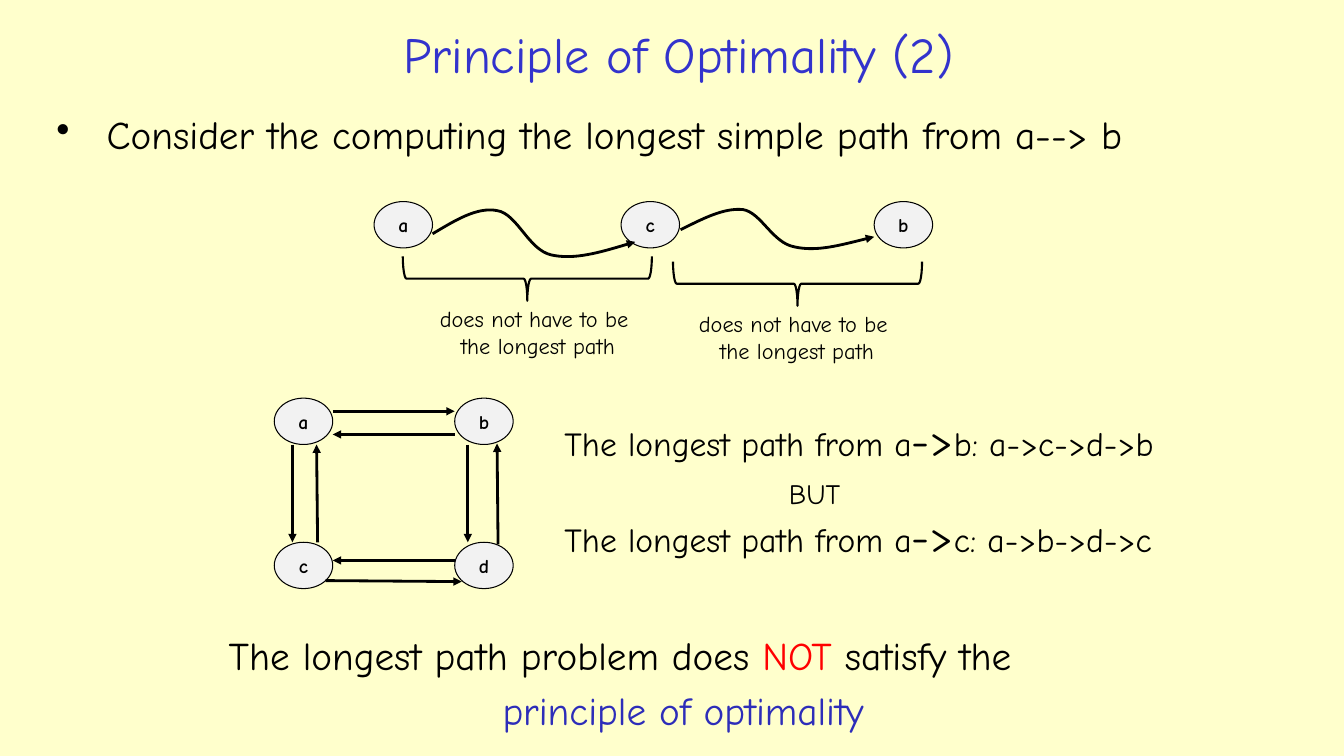
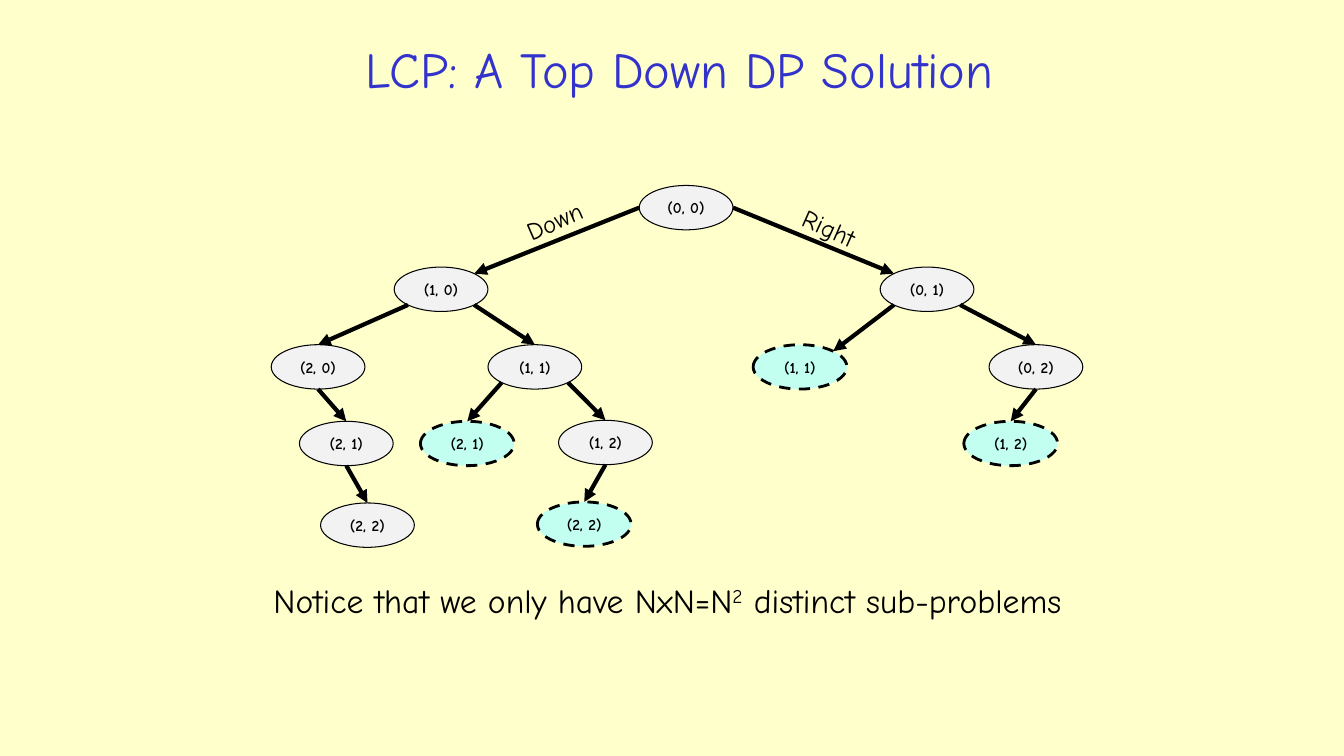
import math
from typing import NamedTuple

import lxml.etree
import pptx
import pptx.dml.color
import pptx.enum.dml
import pptx.enum.shapes
import pptx.enum.text
import pptx.oxml.ns
import pptx.shapes.base
import pptx.slide
import pptx.util

Inches = pptx.util.Inches
Pt = pptx.util.Pt
qn = pptx.oxml.ns.qn
Slide = pptx.slide.Slide
Shape = pptx.shapes.base.BaseShape
Kind = pptx.enum.shapes.MSO_SHAPE
Align = pptx.enum.text.PP_ALIGN
Anchor = pptx.enum.text.MSO_ANCHOR

# Shared look
FONT = "Comic Neue"
PAPER, INK, TITLE = "FFFFCC", "000000", "3333CC"
GREY, MINT, RED, BLUE = "F2F2F2", "C2FFF0", "FF0000", "2D2DB9"


class Run(NamedTuple):
    words: str
    hue: str | None = None
    size: float | None = None
    rise: bool = False


class Box(NamedTuple):
    x: float
    y: float
    w: float
    h: float

    def emu(self) -> list[int]:
        return [Inches(v) for v in self]


class Point(NamedTuple):
    x: float
    y: float


class Node(NamedTuple):
    key: str
    x: float
    y: float
    seen: bool = False


class Edge(NamedTuple):
    start: str
    side: str
    end: str
    port: str


def color(code: str) -> pptx.dml.color.RGBColor:
    return pptx.dml.color.RGBColor.from_string(code)


# Text
def write(shape: Shape, *lines: str | list[Run], size: float = 24, hue: str = INK,
          bold: bool = False, aligns: tuple = (Align.LEFT,), wrap: bool = True,
          anchor: Anchor = Anchor.TOP, gap: float = 0, bullet: bool = False,
          inset: bool = True) -> None:
    """Fill a shape; the last alignment serves all remaining lines."""
    frame = shape.text_frame
    frame.word_wrap = wrap
    frame.vertical_anchor = anchor
    if not inset:
        frame.margin_left = frame.margin_right = 0
        frame.margin_top = frame.margin_bottom = 0
    for i, line in enumerate(lines):
        para = frame.paragraphs[0] if i == 0 else frame.add_paragraph()
        para.alignment = aligns[min(i, len(aligns) - 1)]
        if i:
            para.space_before = Pt(gap)
        if bullet:
            props = para._p.get_or_add_pPr()
            props.set("marL", str(Inches(0.56)))
            props.set("indent", str(Inches(-0.5)))
            lxml.etree.SubElement(props, qn("a:buChar"), char="•")
        for part in [Run(line)] if isinstance(line, str) else line:
            run = para.add_run()
            run.text = part.words
            run.font.name = FONT
            run.font.size = Pt(part.size or size)
            run.font.bold = bold
            run.font.color.rgb = color(part.hue or hue)
            if part.rise:
                run._r.get_or_add_rPr().set("baseline", "30000")


def label(slide: Slide, box: Box, *lines: str | list[Run], turn: float = 0, **form) -> None:
    shape = slide.shapes.add_textbox(*box.emu())
    shape.rotation = turn
    write(shape, *lines, **form)


def start(deck: pptx.presentation.Presentation, title: str, box: Box) -> Slide:
    slide = deck.slides.add_slide(deck.slide_layouts[6])
    label(slide, box, title, size=36, hue=TITLE, aligns=(Align.CENTER,),
          anchor=Anchor.MIDDLE)
    return slide


# Shapes and lines
def stroke(shape: Shape, width: float, head: bool = False) -> None:
    shape.line.color.rgb = color(INK)
    shape.line.width = Pt(width)
    if head:
        lxml.etree.SubElement(shape.line._get_or_add_ln(), qn("a:tailEnd"), type="triangle")


def oval(slide: Slide, box: Box, name: str, size: float, seen: bool = False) -> Shape:
    shape = slide.shapes.add_shape(Kind.OVAL, *box.emu())
    shape.shadow.inherit = False
    shape.fill.solid()
    shape.fill.fore_color.rgb = color(MINT if seen else GREY)
    stroke(shape, 2 if seen else 0.75)
    if seen:
        shape.line.dash_style = pptx.enum.dml.MSO_LINE.DASH
    write(shape, name, size=size, bold=True, aligns=(Align.CENTER,),
          anchor=Anchor.MIDDLE, inset=False)
    return shape


def arrow(slide: Slide, tail: Point, tip: Point, width: float):
    line = slide.shapes.add_connector(
        pptx.enum.shapes.MSO_CONNECTOR.STRAIGHT, *[Inches(v) for v in (*tail, *tip)])
    stroke(line, width, head=True)
    lxml.etree.SubElement(line._element.spPr, qn("a:effectLst"))
    return line


def curve(slide: Slide, first: Point, *rest: Point) -> None:
    """Draw cubic arcs; each three points of the rest make one arc."""
    pen = slide.shapes.build_freeform(Inches(first.x), Inches(first.y))
    pen.add_line_segments([(Inches(p.x), Inches(p.y)) for p in rest], close=False)
    shape = pen.convert_to_shape()
    steps = list(shape._element.iter(qn("a:lnTo")))
    for i in range(0, len(steps), 3):
        arc = lxml.etree.Element(qn("a:cubicBezTo"))
        steps[i].addprevious(arc)
        for step in steps[i:i + 3]:
            arc.append(step[0])
            step.getparent().remove(step)
    shape.shadow.inherit = False
    shape.fill.background()
    stroke(shape, 2, head=True)


def brace(slide: Slide, box: Box) -> None:
    shape = slide.shapes.add_shape(Kind.RIGHT_BRACE, *box.emu())
    shape.rotation = 90
    shape.adjustments[0] = 0.083
    shape.shadow.inherit = False
    shape.fill.background()
    stroke(shape, 1.5)


# Slide 1: longest path
def longest(deck: pptx.presentation.Presentation) -> None:
    slide = start(deck, "Principle of Optimality (2)", Box(1.67, 0.15, 10.12, 0.76))
    label(slide, Box(0.4, 1.05, 12.62, 0.7),
          "Consider the computing the longest simple path from a--> b",
          size=28, bullet=True)

    # Path row above, square graph below
    left, right, top, low = 2.72, 4.51, 3.95, 5.38
    wide, high = 0.58, 0.46
    spots = [("a", 3.71, 2), ("c", 6.16, 2), ("b", 8.67, 2),
             ("a", left, top), ("b", right, top), ("d", right, low), ("c", left, low)]
    for name, x, y in spots:
        oval(slide, Box(x, y, wide, high), name, 14)

    curve(slide, Point(4.29, 2.32),
          Point(4.51, 2.19), Point(4.73, 2.05), Point(4.93, 2.09),
          Point(5.13, 2.12), Point(5.24, 2.48), Point(5.47, 2.53),
          Point(5.7, 2.58), Point(6, 2.49), Point(6.3, 2.4))
    curve(slide, Point(6.75, 2.28),
          Point(6.97, 2.17), Point(7.18, 2.06), Point(7.37, 2.08),
          Point(7.55, 2.11), Point(7.66, 2.41), Point(7.88, 2.45),
          Point(8.1, 2.5), Point(8.38, 2.42), Point(8.67, 2.35))

    for hook, note, y in ((5.01, 4.18, 1.53), (7.69, 6.75, 1.58)):
        brace(slide, Box(hook, y, 0.44, 2.47))
        label(slide, Box(note, y + 1.45, 2.31, 0.64), "does not have to be ",
              "the longest path", size=16, aligns=(Align.CENTER,), wrap=False)

    # Two-way arrows between the corners
    near, under = left + wide, top + high
    for tail, tip in (
        (Point(near, 4.08), Point(right, 4.08)),
        (Point(right, 4.31), Point(near, 4.31)),
        (Point(right, 5.56), Point(near, 5.56)),
        (Point(3.23, 5.76), Point(4.58, 5.77)),
        (Point(2.9, under), Point(2.9, low)),
        (Point(3.15, low), Point(3.14, under)),
        (Point(4.64, under), Point(4.64, low)),
        (Point(4.94, 5.4), Point(4.93, 4.4)),
    ):
        arrow(slide, tail, tip, 2)

    # Findings
    for y, ends in ((4.04, "b: a->c->d->b"), (4.99, "c: a->b->d->c")):
        label(slide, Box(5.5, y, 6.75, 0.64),
              [Run("The longest path from a"), Run("->", size=32), Run(ends)])
    label(slide, Box(7.69, 4.68, 0.78, 0.44), "BUT", size=20,
          aligns=(Align.CENTER,), wrap=False)
    label(slide, Box(2.17, 6.21, 9.21, 0.49),
          [Run("The longest path problem does "), Run("NOT", RED), Run(" satisfy the")],
          [Run("principle of optimality", BLUE)],
          size=28, aligns=(Align.LEFT, Align.CENTER), gap=6)


# Slide 2: call tree
WIDE, HIGH = 0.93, 0.44
ANGLES = {"E": 0, "SE": 45, "S": 90, "SW": 135, "W": 180, "NW": 225, "N": 270, "NE": 315}
# A key is the cell; a trailing * marks a repeated call
NODES = [
    Node("(0, 0)", 6.34, 1.84),
    Node("(1, 0)", 3.91, 2.65), Node("(0, 1)", 8.73, 2.65),
    Node("(2, 0)", 2.69, 3.42), Node("(1, 1)", 4.84, 3.42),
    Node("(1, 1)*", 7.47, 3.42, True), Node("(0, 2)", 9.81, 3.42),
    Node("(2, 1)", 2.97, 4.18), Node("(2, 1)*", 4.17, 4.18, True),
    Node("(1, 2)", 5.54, 4.17), Node("(1, 2)*", 9.56, 4.18, True),
    Node("(2, 2)", 3.18, 4.99), Node("(2, 2)*", 5.33, 4.98, True),
]
EDGES = [
    Edge("(0, 0)", "W", "(1, 0)", "NE"), Edge("(0, 0)", "E", "(0, 1)", "NW"),
    Edge("(1, 0)", "SW", "(2, 0)", "N"), Edge("(1, 0)", "SE", "(1, 1)", "N"),
    Edge("(0, 1)", "SW", "(1, 1)*", "NE"), Edge("(0, 1)", "SE", "(0, 2)", "N"),
    Edge("(1, 1)", "SW", "(2, 1)*", "N"), Edge("(1, 1)", "SE", "(1, 2)", "N"),
    Edge("(2, 0)", "S", "(2, 1)", "N"), Edge("(2, 1)", "S", "(2, 2)", "N"),
    Edge("(1, 2)", "S", "(2, 2)*", "N"), Edge("(0, 2)", "S", "(1, 2)*", "N"),
]


def rim(node: Node, side: str) -> Point:
    turn = math.radians(ANGLES[side])
    return Point(node.x + WIDE / 2 * (1 + math.cos(turn)),
                 node.y + HIGH / 2 * (1 + math.sin(turn)))


def tree(deck: pptx.presentation.Presentation) -> None:
    slide = start(deck, "LCP: A Top Down DP Solution", Box(1.97, 0.15, 9.54, 1.06))
    nodes = {node.key: node for node in NODES}
    ovals = {node.key: oval(slide, Box(node.x, node.y, WIDE, HIGH),
                            node.key.rstrip("*"), 11, node.seen) for node in NODES}
    for edge in EDGES:
        line = arrow(slide, rim(nodes[edge.start], edge.side),
                     rim(nodes[edge.end], edge.port), 3)
        if edge.port == "N":
            line.end_connect(ovals[edge.end], 0)

    label(slide, Box(5.11, 1.98, 0.82, 0.4), "Down", size=18, turn=336.5, wrap=False)
    label(slide, Box(7.85, 2.08, 0.83, 0.4), "Right", size=18, turn=24, wrap=False)
    label(slide, Box(2.06, 5.7, 9.23, 0.51),
          [Run("Notice that we only have NxN=N"), Run("2", rise=True),
           Run(" distinct sub-problems ")], aligns=(Align.CENTER,), wrap=False)


def main() -> None:
    deck = pptx.Presentation()
    deck.slide_width, deck.slide_height = Inches(13.33), Inches(7.5)
    back = deck.slide_master.background.fill
    back.solid()
    back.fore_color.rgb = color(PAPER)
    longest(deck)
    tree(deck)
    deck.save("out.pptx")


if __name__ == "__main__":
    main()
